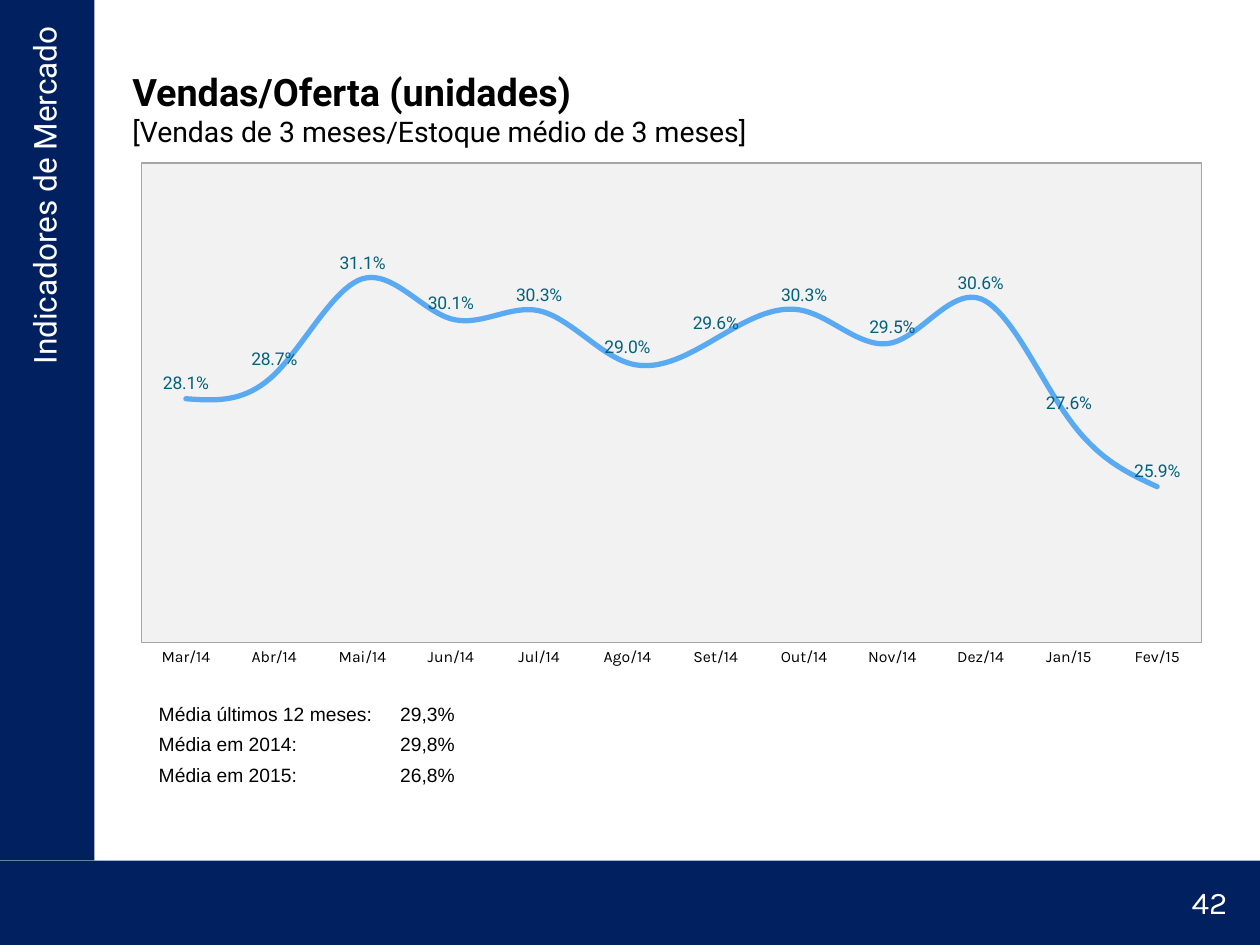
from lxml import etree
from pptx import Presentation
from pptx import util as u
from pptx.chart.data import CategoryChartData
from pptx.dml.color import RGBColor
from pptx.enum import chart as ch, shapes, text
from pptx.oxml import parse_xml
from pptx.oxml.ns import nsdecls, qn

# Content
COLORS = {"navy": "002060", "white": "FFFFFF", "black": "000000", "axis": "A6A6A6",
          "plot": "F2F2F2", "sales": "59AAF2", "label": "04617B"}
SECTION = "Indicadores de Mercado"
PAGE = "42"
TITLE = ("Vendas/Oferta (unidades)", 21.6, True)
SUBTITLE = ("[Vendas de 3 meses/Estoque médio de 3 meses]", 16.2, False)
SALES_RATIO = {
    "Mar/14": 0.281, "Abr/14": 0.287, "Mai/14": 0.311, "Jun/14": 0.301,
    "Jul/14": 0.303, "Ago/14": 0.290, "Set/14": 0.296, "Out/14": 0.303,
    "Nov/14": 0.295, "Dez/14": 0.306, "Jan/15": 0.276, "Fev/15": 0.259,
}
AVERAGES = [("Média últimos 12 meses:", "29,3%"),
            ("Média em 2014:", "29,8%"),
            ("Média em 2015:", "26,8%")]
BANDS = [(0, 6.83, 10, 0.67), (0, 0, 0.75, 6.83)]
PLOT_LAYOUT = {"x": 0.02, "y": 0.02, "w": 0.96, "h": 0.92}
RIGHT = text.PP_ALIGN.RIGHT


def rgb(name):
    return RGBColor.from_string(COLORS[name])


def inches(*lengths):
    return [u.Inches(length) for length in lengths]


def style(font, face, size, color, bold=False):
    for key, value in {"name": face, "size": u.Pt(size), "bold": bold}.items():
        setattr(font, key, value)
    font.color.rgb = rgb(color)


def place(shape, box):
    for key, value in zip(("left", "top", "width", "height"), inches(*box)):
        setattr(shape, key, value)


def add_label(slide, words, box, face, rotation=0):
    label = slide.shapes.add_textbox(*inches(*box))
    label.rotation = rotation
    label.text_frame.word_wrap = True
    line = label.text_frame.paragraphs[0]
    line.text, line.alignment = words, RIGHT
    style(line.runs[0].font, face, 18, "white")


def add_title(slide):
    title = slide.shapes.title
    place(title, (0.95, 0.51, 8.76, 0.7))
    frame = title.text_frame
    for key, value in {"word_wrap": True, "auto_size": text.MSO_AUTO_SIZE.NONE,
                       "vertical_anchor": text.MSO_ANCHOR.MIDDLE}.items():
        setattr(frame, key, value)
    heading = frame.paragraphs[0]
    heading.alignment = text.PP_ALIGN.LEFT
    heading.line_spacing = 1.0
    for words, size, bold in (TITLE, SUBTITLE):
        if heading.runs:
            heading.add_line_break()
        run = heading.add_run()
        run.text = words
        style(run.font, "Roboto", size, "black", bold)


def format_plot_area(chart):
    area = chart.plots[0]._element.getparent()
    old_layout = area.find(qn("c:layout"))
    if old_layout is not None:
        area.remove(old_layout)
    edges = "".join(f'<c:{key} val="{value}"/>' for key, value in PLOT_LAYOUT.items())
    area.insert(0, parse_xml(
        f'<c:layout {nsdecls("c")}><c:manualLayout><c:layoutTarget val="inner"/>'
        f'<c:xMode val="edge"/><c:yMode val="edge"/>{edges}</c:manualLayout></c:layout>'))
    area.append(parse_xml(
        f'<c:spPr {nsdecls("c", "a")}>'
        f'<a:solidFill><a:srgbClr val="{COLORS["plot"]}"/></a:solidFill>'
        f'<a:ln w="9525"><a:solidFill><a:srgbClr val="{COLORS["axis"]}"/></a:solidFill></a:ln>'
        '</c:spPr>'))


def add_sales_chart(slide):
    data = CategoryChartData(number_format="0.0%")
    data.categories = list(SALES_RATIO)
    data.add_series("Vendas/Oferta", list(SALES_RATIO.values()))
    chart = slide.shapes.add_chart(ch.XL_CHART_TYPE.LINE,
                                   *inches(0.95, 1.21, 8.76, 4.14), data).chart
    chart.has_legend = chart.has_title = False
    style(chart.font, "Karla", 10, "black")
    plot = chart.plots[0]
    plot.vary_by_categories = False

    months, ratio = chart.category_axis, chart.value_axis
    months.major_tick_mark = months.minor_tick_mark = ch.XL_TICK_MARK.NONE
    months.format.line.color.rgb = rgb("axis")
    months.format.line.width = u.Pt(0.75)
    style(months.tick_labels.font, "Karla", 9, "black")
    for key, value in {"minimum_scale": 0.22, "maximum_scale": 0.34,
                       "has_major_gridlines": False, "visible": False}.items():
        setattr(ratio, key, value)

    sales = plot.series[0]
    sales.smooth = True
    sales.marker.style = ch.XL_MARKER_STYLE.NONE
    sales.format.line.color.rgb = rgb("sales")
    sales.format.line.width = u.Pt(3)
    sales.format.line._ln.set("cap", "rnd")
    labels = sales.data_labels
    for key, value in {"show_value": True, "number_format": "0.0%",
                       "number_format_is_linked": False,
                       "position": ch.XL_LABEL_POSITION.ABOVE}.items():
        setattr(labels, key, value)
    style(labels.font, "Roboto", 10, "label")
    format_plot_area(chart)


def add_borders(cell):
    props = cell._tc.get_or_add_tcPr()
    for index, side in enumerate(("lnL", "lnR", "lnT", "lnB")):
        line = etree.Element(qn(f"a:{side}"), w="12700")
        fill = etree.SubElement(line, qn("a:solidFill"))
        etree.SubElement(fill, qn("a:srgbClr"), val=COLORS["white"])
        props.insert(index, line)


def add_averages(slide):
    table = slide.shapes.add_table(len(AVERAGES), 2, *inches(1.25, 5.52, 2.37, 0.72)).table
    table.first_row = table.horz_banding = False
    for column, width in zip(table.columns, inches(1.82, 0.55)):
        column.width = width
    cell_format = {"vertical_anchor": text.MSO_ANCHOR.BOTTOM, "margin_bottom": 0,
                   **dict.fromkeys(("margin_left", "margin_right", "margin_top"),
                                   u.Inches(0.01))}
    for r, row in enumerate(AVERAGES):
        for c, words in enumerate(row):
            cell = table.cell(r, c)
            cell.fill.background()
            for key, value in cell_format.items():
                setattr(cell, key, value)
            line = cell.text_frame.paragraphs[0]
            line.text = words
            line.alignment = RIGHT if c else text.PP_ALIGN.LEFT
            style(line.runs[0].font, "Arial", 11, "black")
            add_borders(cell)


def main():
    deck = Presentation()
    deck.slide_width, deck.slide_height = inches(10, 7.5)
    slide = deck.slides.add_slide(deck.slide_layouts[5])

    # Navy frame with section name and page number
    for box in BANDS:
        band = slide.shapes.add_shape(shapes.MSO_SHAPE.RECTANGLE, *inches(*box))
        band.shadow.inherit = False
        band.fill.solid()
        band.fill.fore_color.rgb = rgb("navy")
        band.line.fill.background()
    add_label(slide, SECTION, (-2.55, 2.81, 5.8, 0.4), "Roboto", 270)
    add_label(slide, PAGE, (8.92, 6.96, 0.92, 0.4), "Karla")

    # Heading, line chart and averages
    add_title(slide)
    add_sales_chart(slide)
    add_averages(slide)
    deck.save("out.pptx")


if __name__ == "__main__":
    main()
